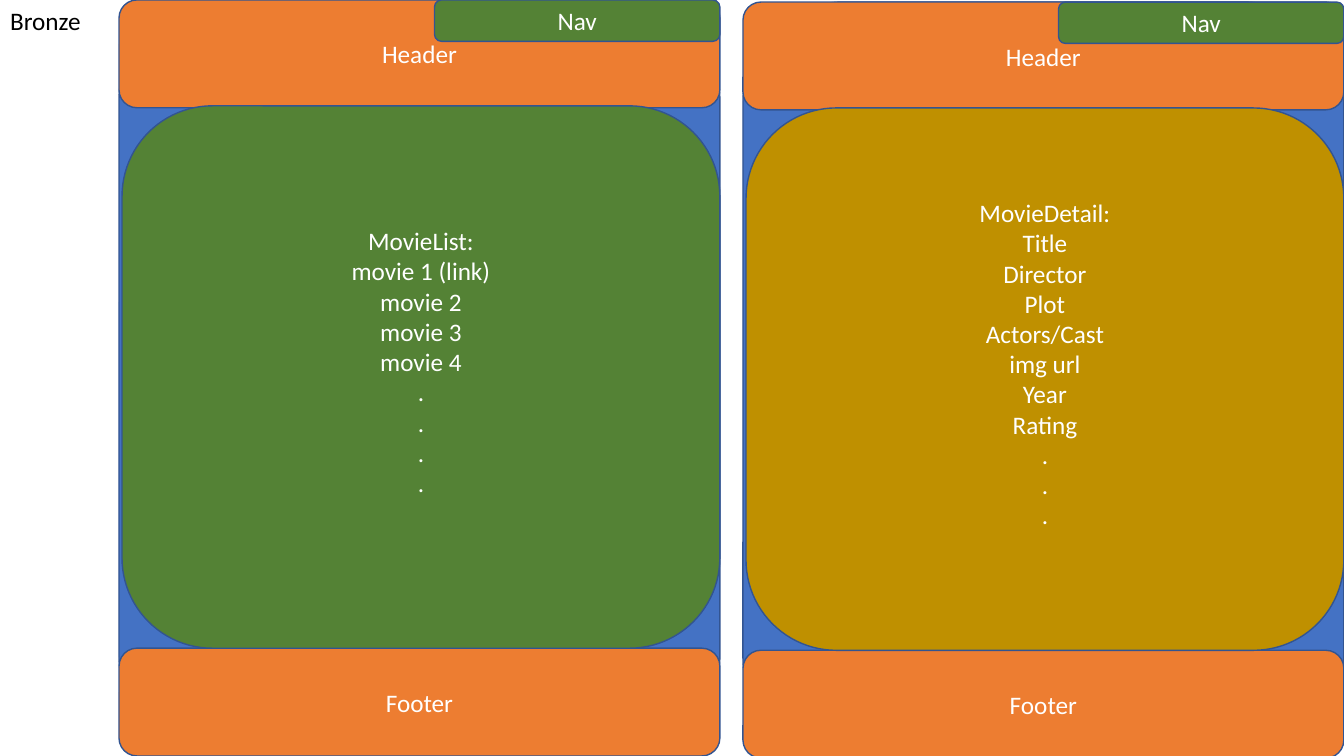
from dataclasses import dataclass

from pptx import Presentation
from pptx.dml.color import RGBColor
from pptx.enum.shapes import MSO_SHAPE
from pptx.enum.text import MSO_ANCHOR, MSO_AUTO_SIZE, PP_ALIGN
from pptx.slide import Slide
from pptx.text.text import TextFrame
from pptx.util import Pt

WHITE = RGBColor(0xFF, 0xFF, 0xFF)
BLACK = RGBColor(0x00, 0x00, 0x00)
BLUE = RGBColor(0x44, 0x72, 0xC4)
OUTLINE = RGBColor(0x32, 0x54, 0x91)
ORANGE = RGBColor(0xED, 0x7D, 0x31)
GREEN = RGBColor(0x54, 0x82, 0x35)
GOLD = RGBColor(0xBF, 0x90, 0x00)

SCREEN_WIDTH, SCREEN_HEIGHT = 429.2, 540
BAR_HEIGHT = 77
NAV_WIDTH, NAV_HEIGHT = 203.8, 29.5
CONTENT_INDENT, CONTENT_TOP, CONTENT_HEIGHT = 2.2, 75.6, 387.4
INSET = 3.6
LINE_HEIGHT = 22


@dataclass(frozen=True)
class Screen:
    left: float
    top: float
    content_color: RGBColor
    content: list[str]


@dataclass(frozen=True)
class Block:
    """One area of a screen, placed relative to the screen's corner."""
    left: float
    top: float
    width: float
    height: float
    color: RGBColor
    lines: list[str]
    space_below: float = 0


SCREENS = [
    Screen(85, 0, GREEN,
           ["MovieList:", "movie 1 (link)", "movie 2", "movie 3", "movie 4",
            ".", ".", ".", "."]),
    Screen(530.7, 1.5, GOLD,
           ["MovieDetail:", "Title", "Director", "Plot", "Actors/Cast",
            "img url", "Year", "Rating", ".", ".", "."]),
]


def write_text(frame: TextFrame, lines: list[str], *, color: RGBColor,
               align: PP_ALIGN, anchor: MSO_ANCHOR,
               space_below: float = 0) -> None:
    frame.word_wrap = True
    frame.auto_size = MSO_AUTO_SIZE.NONE
    frame.vertical_anchor = anchor
    frame.margin_left = frame.margin_right = Pt(2 * INSET)
    frame.margin_top = Pt(INSET)
    frame.margin_bottom = Pt(INSET + space_below)
    frame.text = "\n".join(lines)
    for paragraph in frame.paragraphs:
        paragraph.alignment = align
        paragraph.font.name = "Calibri"
        paragraph.font.size = Pt(18)
        paragraph.font.color.rgb = color


def draw_block(slide: Slide, screen: Screen, block: Block) -> None:
    area = slide.shapes.add_shape(
        MSO_SHAPE.ROUNDED_RECTANGLE,
        Pt(screen.left + block.left), Pt(screen.top + block.top),
        Pt(block.width), Pt(block.height))
    area.shadow.inherit = False
    area.fill.solid()
    area.fill.fore_color.rgb = block.color
    area.line.color.rgb = OUTLINE
    area.line.width = Pt(1)
    if block.lines:
        write_text(area.text_frame, block.lines, color=WHITE,
                   align=PP_ALIGN.CENTER, anchor=MSO_ANCHOR.MIDDLE,
                   space_below=block.space_below)


def draw_screen(slide: Slide, screen: Screen) -> None:
    blocks = [
        Block(0, 0, SCREEN_WIDTH, SCREEN_HEIGHT, BLUE, []),
        Block(0, 0, SCREEN_WIDTH, BAR_HEIGHT, ORANGE, ["Header"]),
        Block(0, SCREEN_HEIGHT - BAR_HEIGHT, SCREEN_WIDTH, BAR_HEIGHT,
              ORANGE, ["Footer"]),
        Block(SCREEN_WIDTH - NAV_WIDTH, 0, NAV_WIDTH, NAV_HEIGHT,
              GREEN, ["Nav"]),
        Block(CONTENT_INDENT, CONTENT_TOP, SCREEN_WIDTH - CONTENT_INDENT,
              CONTENT_HEIGHT, screen.content_color, screen.content,
              space_below=LINE_HEIGHT),
    ]
    for block in blocks:
        draw_block(slide, screen, block)


def main() -> None:
    deck = Presentation()
    deck.slide_width, deck.slide_height = Pt(960), Pt(540)
    title_only = deck.slide_layouts[5]
    slide = deck.slides.add_slide(title_only)

    tier = slide.shapes.title
    tier.left, tier.top = Pt(0), Pt(0)
    tier.width, tier.height = Pt(137.5), Pt(29)
    write_text(tier.text_frame, ["Bronze"], color=BLACK,
               align=PP_ALIGN.LEFT, anchor=MSO_ANCHOR.TOP)

    for screen in SCREENS:
        draw_screen(slide, screen)
    deck.save("out.pptx")


if __name__ == "__main__":
    main()
